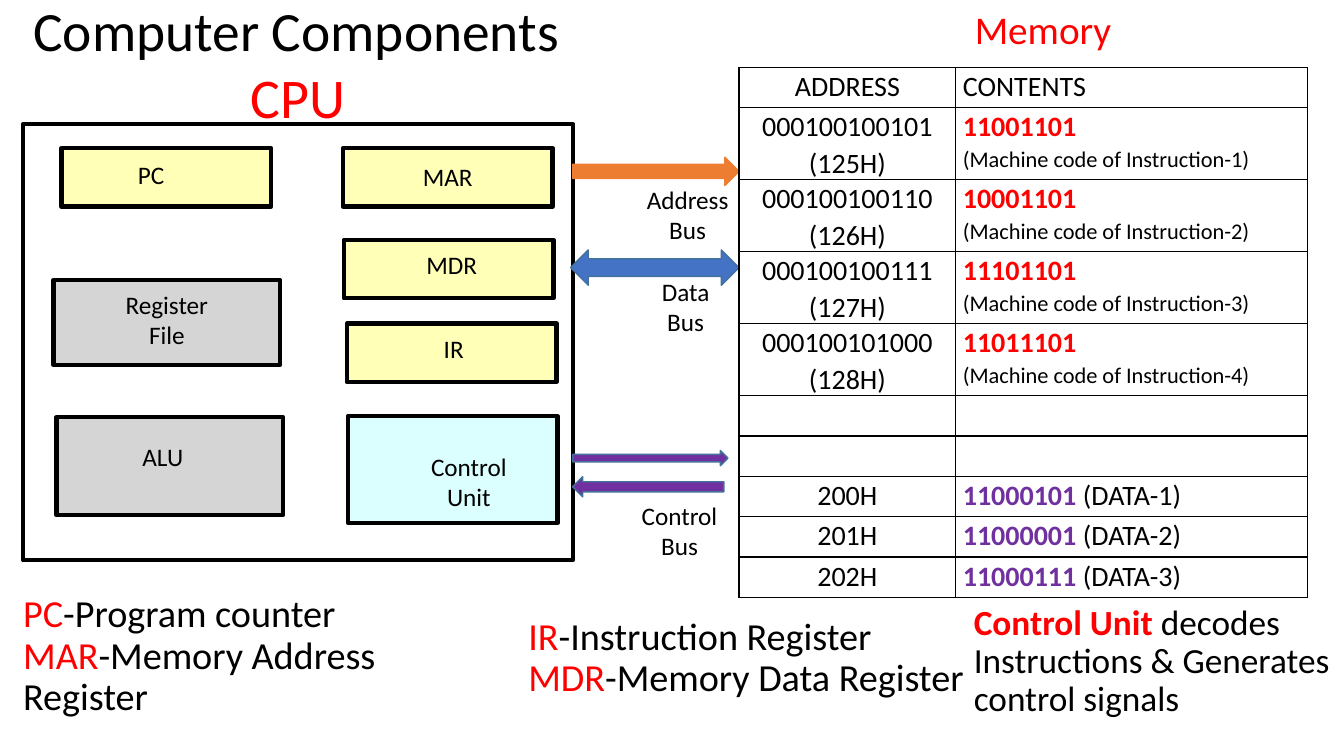
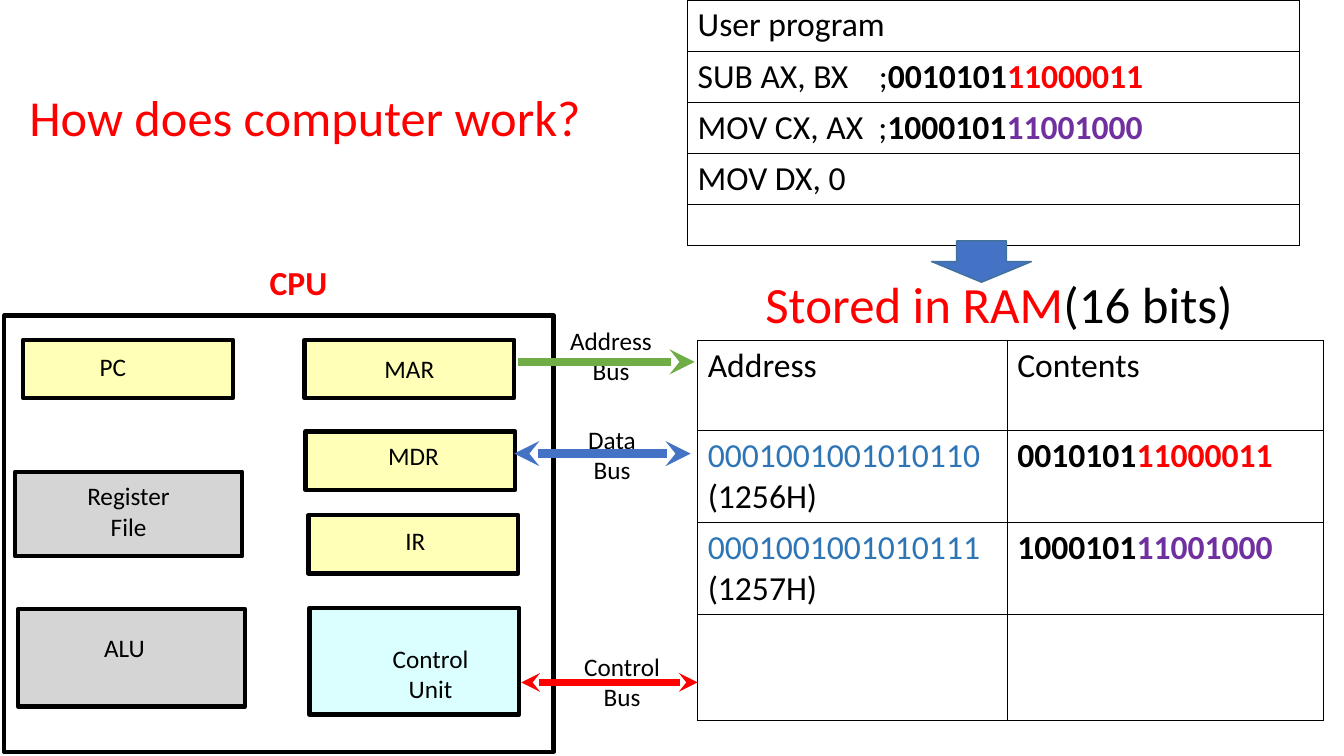
from dataclasses import dataclass
from typing import Any, NamedTuple

from lxml import etree
from pptx import Presentation
from pptx.dml.color import RGBColor
from pptx.enum import shapes as es, text as et
from pptx.oxml import ns
from pptx.util import Inches, Pt

Box = tuple[float, float, float, float]


@dataclass(frozen=True)
class Theme:
    font: str = "Calibri"
    black: str = "000000"
    red: str = "FF0000"
    purple: str = "7030A0"
    blue: str = "4472C4"
    sky: str = "2E75B5"
    edge: str = "42719B"
    orange: str = "ED7D31"
    green: str = "70AD47"
    grey: str = "C4C4C4"
    aqua: str = "CCFFFF"
    yellow: str = "FFFF99"
    title: float = 39.6
    query: float = 36
    store: float = 36.3
    head: float = 40
    memo: float = 28
    terms: float = 27.3
    role: float = 25.2
    code: float = 24
    cell: float = 20
    label: float = 18
    small: float = 16


T = Theme()
MID, LEFT = et.PP_ALIGN.CENTER, et.PP_ALIGN.LEFT
KIND = es.MSO_SHAPE


class Run(NamedTuple):
    text: str
    ink: str = T.black
    bold: bool = False
    size: float = 0


Paras = list[list[Run]]


class Part(NamedTuple):
    name: str
    box: Box
    fill: str
    right: float = 0
    down: float = 0


class Label(NamedTuple):
    name: str
    box: Box
    size: float = T.label
    ink: str = T.black
    bold: bool = False


class Arrow(NamedTuple):
    kind: Any
    box: Box
    fill: str
    edge: str = T.edge


class Wire(NamedTuple):
    x: float
    y: float
    ink: str
    width: float
    ends: tuple[str, ...]


PARTS = [
    Part("Register\nFile", (0.53, 2.78, 2.25, 0.84), T.grey, 0, -0.03),
    Part("ALU", (0.56, 4.14, 2.25, 0.97), T.grey, -0.07, -0.1),
    Part("Control\nUnit", (3.45, 4.13, 2.08, 1.06), T.aqua, 0.16, 0.12),
    Part("IR", (3.44, 3.21, 2.08, 0.58), T.yellow, 0.02, -0.04),
    Part("PC", (0.61, 1.47, 2.08, 0.58), T.yellow, -0.15, -0.03),
    Part("MAR", (3.4, 1.47, 2.08, 0.58), T.yellow, 0, -0.01),
    Part("MDR", (3.41, 2.38, 2.08, 0.58), T.yellow, 0.03, -0.05),
]


def put(item: Any, vals: dict[str, Any]) -> None:
    for key, val in vals.items():
        setattr(item, key, val)


def rgb(ink: str) -> RGBColor:
    return RGBColor.from_string(ink)


def spot(box: Box) -> list[int]:
    return [Inches(n) for n in box]


def sub(node: Any, tag: str, **attrs: str) -> Any:
    return etree.SubElement(node, ns.qn(tag), attrs)


def lines(text: str, ink: str = T.black, bold: bool = False) -> Paras:
    return [[Run(line, ink, bold)] for line in text.split("\n")]


def write(frame: Any, paras: Paras, size: float, align: Any = LEFT, gap: float = 1) -> None:
    for i, runs in enumerate(paras):
        para = frame.add_paragraph() if i else frame.paragraphs[0]
        put(para, {"alignment": align, "line_spacing": gap, "space_before": Pt(0)})
        for run in runs:
            bit = para.add_run()
            bit.text = run.text
            put(bit.font, {"name": T.font, "size": Pt(run.size or size), "bold": run.bold})
            bit.font.color.rgb = rgb(run.ink)


def set_box(holder: Any, box: Box) -> None:
    put(holder, dict(zip(("left", "top", "width", "height"), spot(box))))
    put(holder.text_frame, {"word_wrap": True, "auto_size": et.MSO_AUTO_SIZE.NONE,
                            "vertical_anchor": et.MSO_ANCHOR.MIDDLE})


def add_title(slide: Any, text: str, box: Box, size: float, ink: str = T.black) -> None:
    set_box(slide.shapes.title, box)
    write(slide.shapes.title.text_frame, lines(text, ink), size, gap=0.9)


def add_list(holder: Any, box: Box, terms: dict[str, str]) -> None:
    set_box(holder, box)
    frame = holder.text_frame
    write(frame, [[Run(k, T.red), Run("-" + v)] for k, v in terms.items()], T.terms, gap=0.9)
    for para in frame.paragraphs:
        props = para._p.get_or_add_pPr()
        props.set("marL", "0")
        props.set("indent", "0")
        sub(props, "a:buNone")


def add_text(slide: Any, box: Box, paras: Paras, size: float, align: Any, gap: float) -> None:
    item = slide.shapes.add_textbox(*spot(box))
    set_box(item, box)
    write(item.text_frame, paras, size, align, gap)


def add_label(slide: Any, tag: Label) -> None:
    item = slide.shapes.add_textbox(*spot(tag.box))
    put(item.text_frame, {"word_wrap": True, "margin_left": 0, "margin_right": 0})
    write(item.text_frame, lines(tag.name, tag.ink, tag.bold), tag.size, MID)


def add_block(slide: Any, kind: Any, box: Box, fill: str, edge: str, width: float) -> Any:
    item = slide.shapes.add_shape(kind, *spot(box))
    item.shadow.inherit = False
    if fill:
        item.fill.solid()
        item.fill.fore_color.rgb = rgb(fill)
    else:
        item.fill.background()
    item.line.color.rgb = rgb(edge)
    item.line.width = Pt(width)
    return item


def add_cpu(slide: Any, frame: Box, dx: float, dy: float) -> None:
    add_block(slide, KIND.RECTANGLE, frame, "", T.black, 3)
    for part in PARTS:
        x, y, w, h = part.box
        item = add_block(slide, KIND.RECTANGLE, (x + dx, y + dy, w, h), part.fill, T.black, 3)
        tint = item.element.spPr.find(ns.qn("a:solidFill"))[0]
        sub(tint, "a:alpha", val="70000")
        put(item.text_frame, {
            "margin_left": Inches(max(0, 2 * part.right)),
            "margin_right": Inches(max(0, -2 * part.right)),
            "margin_top": Inches(max(0, 2 * part.down)),
            "margin_bottom": Inches(max(0, -2 * part.down)),
            "vertical_anchor": et.MSO_ANCHOR.MIDDLE,
        })
        write(item.text_frame, lines(part.name), T.label, MID)


def add_arrow(slide: Any, arrow: Arrow) -> None:
    add_block(slide, arrow.kind, arrow.box, arrow.fill, arrow.edge, 1)


def add_wire(slide: Any, wire: Wire) -> None:
    ends = spot((wire.x, wire.y, wire.x + 1.75, wire.y))
    item = slide.shapes.add_connector(es.MSO_CONNECTOR.STRAIGHT, *ends)
    item.line.color.rgb = rgb(wire.ink)
    item.line.width = Pt(wire.width)
    for end in wire.ends:
        sub(item.line._get_or_add_ln(), end, type="stealth")
    sub(item.element.spPr, "a:effectLst")


def add_grid(slide: Any, at: tuple[float, float], cols: list[float], rows: list[float],
             cells: list[list[Paras]], size: float, aligns: list[Any],
             pad: tuple[float, float] = (0.1, 0.05), gap: float = 1) -> None:
    box = (*at, sum(cols), sum(rows))
    grid = slide.shapes.add_table(len(rows), len(cols), *spot(box)).table
    put(grid, {"first_row": False, "horz_banding": False})
    for col, width in zip(grid.columns, cols):
        col.width = Inches(width)
    side, edge = Inches(pad[0]), Inches(pad[1])
    for row, high, texts in zip(grid.rows, rows, cells):
        row.height = Inches(high)
        for cell, paras, align in zip(row.cells, texts, aligns):
            put(cell, {"margin_left": side, "margin_right": side,
                       "margin_top": edge, "margin_bottom": edge})
            for tag in ("a:lnL", "a:lnR", "a:lnT", "a:lnB"):
                rule = sub(cell._tc.get_or_add_tcPr(), tag, w="12700")
                sub(sub(rule, "a:solidFill"), "a:srgbClr", val=T.black)
            cell.fill.background()
            write(cell.text_frame, paras, size, align, gap)


def draw_parts(deck: Any) -> None:
    slide = deck.slides.add_slide(deck.slide_layouts[3])
    add_title(slide, "Computer Components", (0.23, 0.07, 5.45, 0.52), T.title)
    add_cpu(slide, (0.23, 1.23, 5.45, 4.33), 0, 0)
    for tag in (
        Label("CPU", (2.38, 0.57, 1.15, 0.77), T.head, T.red),
        Label("Memory", (9.56, 0, 1.57, 0.57), T.memo, T.red),
        Label("Address\nBus", (6.31, 1.78, 1.02, 0.71)),
        Label("Data\nBus", (6.46, 2.69, 0.68, 0.71)),
        Label("Control\nBus", (6.26, 4.91, 0.96, 0.71)),
    ):
        add_label(slide, tag)
    add_list(slide.placeholders[1], (0.13, 5.83, 4.96, 1.37),
             {"PC": "Program counter", "MAR": "Memory Address Register"})
    add_list(slide.placeholders[2], (5.14, 5.85, 4.75, 1.37),
             {"IR": "Instruction Register", "MDR": "Memory Data Register"})
    role = [[Run("Control Unit ", T.red, True),
             Run("decodes Instructions & Generates control signals")]]
    add_text(slide, (9.56, 5.88, 3.78, 1.37), role, T.role, LEFT, 0.9)
    for arrow in (
        Arrow(KIND.RIGHT_ARROW, (5.68, 1.56, 1.65, 0.28), T.orange, T.orange),
        Arrow(KIND.LEFT_RIGHT_ARROW, (5.66, 2.48, 1.67, 0.35), T.blue),
        Arrow(KIND.RIGHT_ARROW, (5.68, 4.47, 1.54, 0.15), T.purple),
        Arrow(KIND.LEFT_ARROW, (5.68, 4.73, 1.5, 0.2), T.purple),
    ):
        add_arrow(slide, arrow)
    codes = [("000100100101", "125H", "11001101"), ("000100100110", "126H", "10001101"),
             ("000100100111", "127H", "11101101"), ("000100101000", "128H", "11011101")]
    data = [("200H", "11000101"), ("201H", "11000001"), ("202H", "11000111")]
    cells = [[lines("ADDRESS"), lines("CONTENTS")]]
    for i, (bits, hexa, word) in enumerate(codes, 1):
        note = Run(f"(Machine code of Instruction-{i})", size=T.small)
        cells.append([lines(f"{bits}\n({hexa})"), [[Run(word, T.red, True)], [note]]])
    cells += [[[], []], [[], []]]
    for i, (hexa, word) in enumerate(data, 1):
        cells.append([lines(hexa), [[Run(word + " ", T.purple, True), Run(f"(DATA-{i})")]]])
    add_grid(slide, (7.33, 0.67), [2.15, 3.49], [0.4] + [0.71] * 4 + [0.4] * 5,
             cells, T.cell, [MID, LEFT], (0.07, 0), 1.07)


def draw_work(deck: Any) -> None:
    slide = deck.slides.add_slide(deck.slide_layouts[5])
    add_title(slide, "How does computer work?", (0.19, 0.31, 6.26, 1.77), T.query, T.red)
    sub_op = [Run("0010101", bold=True), Run("11000011", T.red, True)]
    mov_op = [Run("1000101", bold=True), Run("11001000", T.purple, True)]
    code = [lines("User program"), [[Run("SUB AX, BX    ;"), *sub_op]],
            [[Run("MOV CX, AX  ;"), *mov_op]], lines("MOV DX, 0"), []]
    add_grid(slide, (6.82, 0), [6.07], [0.5] * 4 + [0.4],
             [[line] for line in code], T.code, [LEFT])
    ram = [[lines("Address"), lines("Contents")]]
    for bits, hexa, word in (("0001001001010110", "1256H", sub_op),
                             ("0001001001010111", "1257H", mov_op)):
        ram.append([[[Run(bits, T.sky)], [Run(f"({hexa})")]], [word]])
    ram.append([[], []])
    add_grid(slide, (6.92, 3.38), [3.07, 3.14], [0.89] * 3 + [1.05],
             ram, T.code, [LEFT, LEFT])
    add_arrow(slide, Arrow(KIND.DOWN_ARROW, (9.24, 2.39, 0.99, 0.41), T.blue))
    add_cpu(slide, (0.04, 3.13, 5.45, 4.33), -0.38, 1.9)
    for tag in (
        Label("CPU", (2.57, 2.55, 0.78, 0.5), T.code, T.red, True),
        Label("Address\nBus", (5.55, 3.18, 1.02, 0.71)),
        Label("Data\nBus", (5.73, 4.16, 0.68, 0.71)),
        Label("Control\nBus", (5.69, 6.41, 0.96, 0.71)),
    ):
        add_label(slide, tag)
    both = ("a:headEnd", "a:tailEnd")
    for wire in (
        Wire(5.14, 3.59, T.green, 6, both[1:]),
        Wire(5.1, 4.5, T.blue, 6, both),
        Wire(5.17, 6.77, T.red, 4.5, both),
    ):
        add_wire(slide, wire)
    store = [[Run("Stored in RAM", T.red), Run("(16 bits)")]]
    add_text(slide, (7.06, 2.8, 5.7, 0.57), store, T.store, MID, 0.7)


def main() -> None:
    deck = Presentation()
    put(deck, {"slide_width": Inches(13.33), "slide_height": Inches(7.5)})
    draw_parts(deck)
    draw_work(deck)
    deck.save("out.pptx")


if __name__ == "__main__":
    main()
